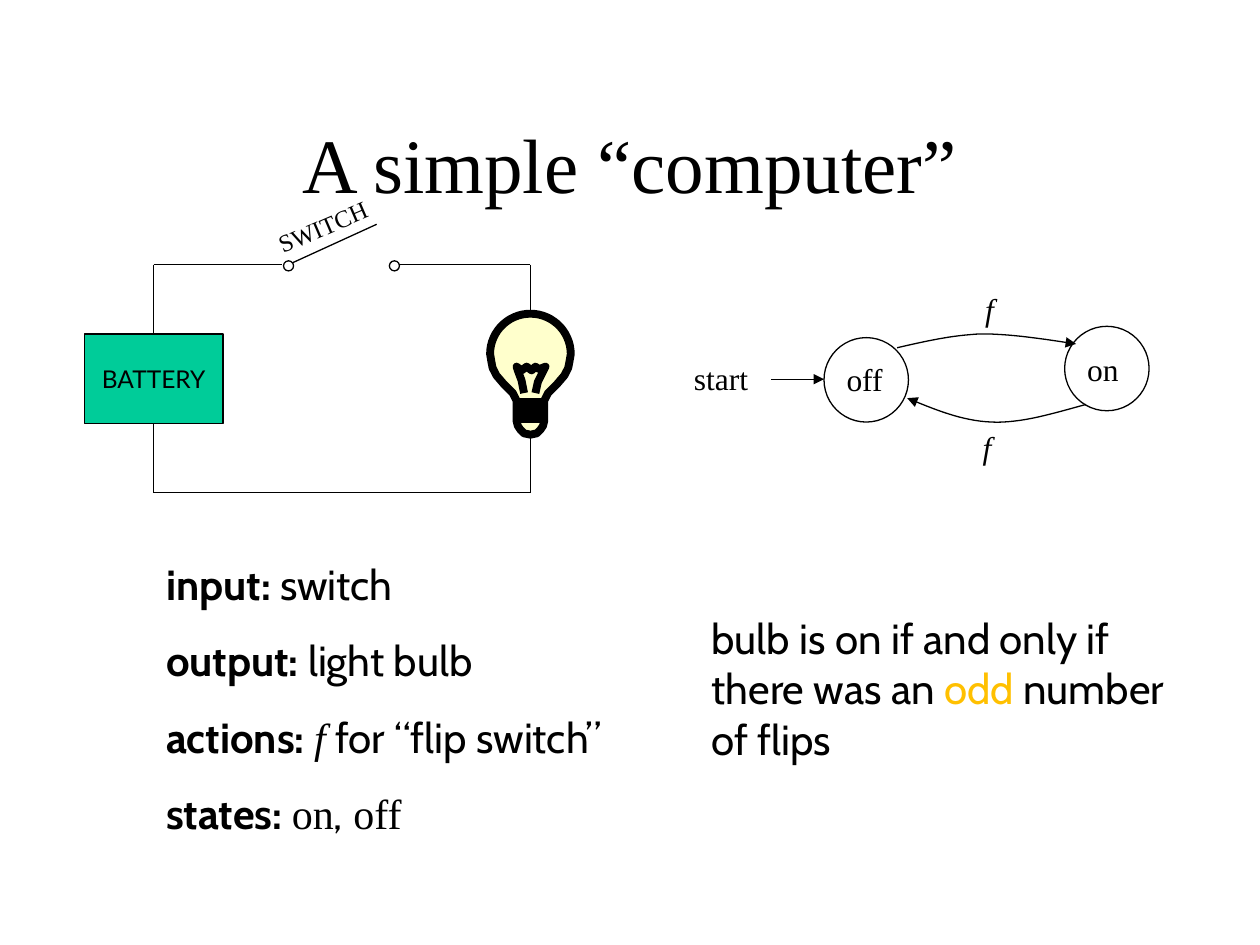
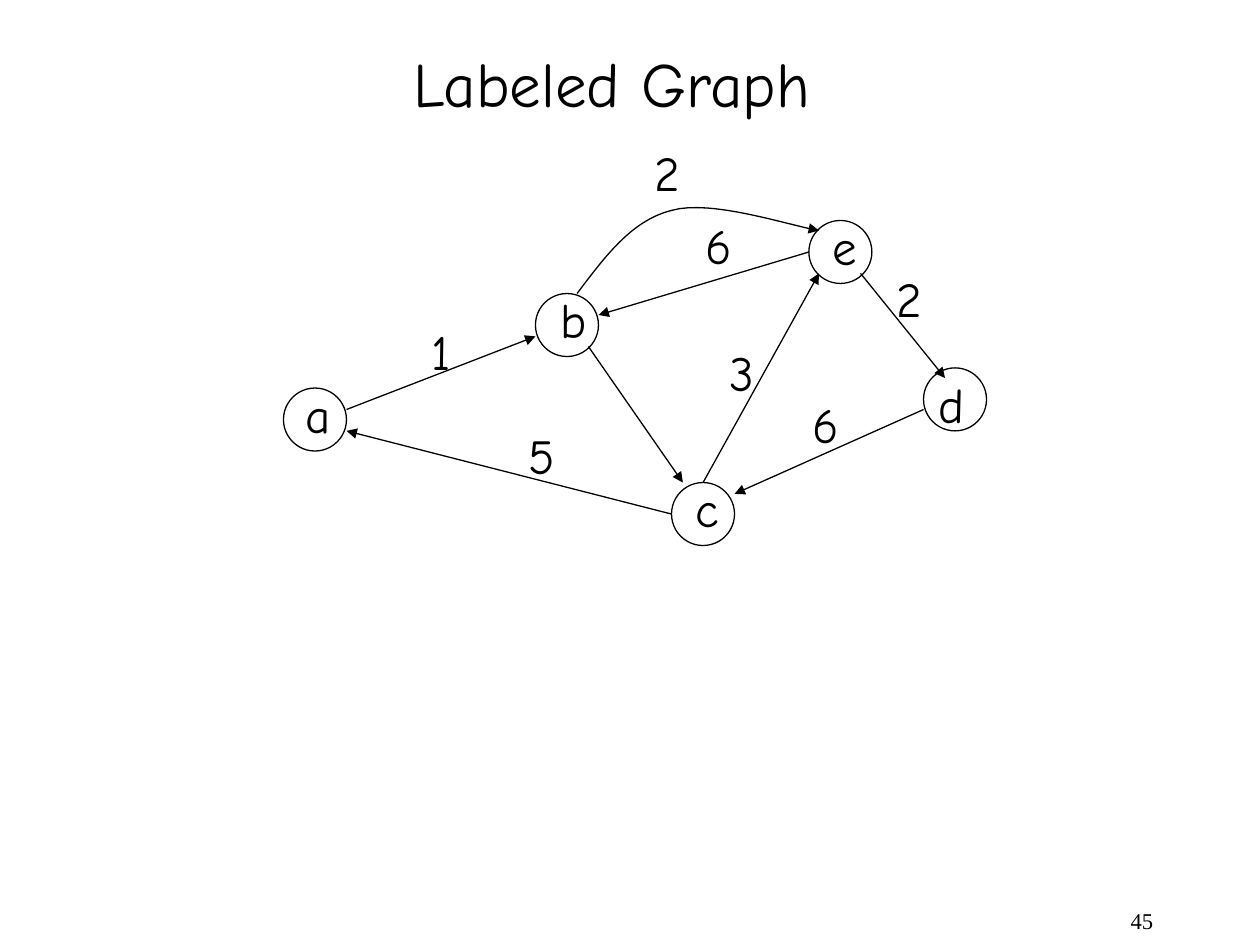
from math import cos, radians, sin

from lxml import etree
from pptx import Presentation
from pptx.dml.color import RGBColor
from pptx.enum.shapes import MSO_CONNECTOR, MSO_SHAPE
from pptx.enum.text import MSO_ANCHOR, MSO_AUTO_SIZE, PP_ALIGN
from pptx.oxml.ns import qn
from pptx.util import Inches, Pt

STRAIGHT = MSO_CONNECTOR.STRAIGHT
OVAL, RECTANGLE = MSO_SHAPE.OVAL, MSO_SHAPE.RECTANGLE
LEFT, CENTER, RIGHT = PP_ALIGN.LEFT, PP_ALIGN.CENTER, PP_ALIGN.RIGHT
TOP, MIDDLE = MSO_ANCHOR.TOP, MSO_ANCHOR.MIDDLE
NO_AUTOFIT = MSO_AUTO_SIZE.NONE

BLACK, WHITE, AMBER = "000000", "FFFFFF", "FFC000"
BATTERY_GREEN, BULB_YELLOW = "00CC99", "FFFFCC"
SERIF, SANS, COMIC, BATTERY_FONT = "Times New Roman", "Cabin", "Comic Neue", "Lato"
THIN, THICK = 0.75, 4.5
TITLE_ONLY = 5

WIRES = [
    ((1.22, 2.1), (2.24, 2.1)),
    ((1.22, 2.1), (1.22, 2.65)),
    ((1.22, 3.36), (1.22, 3.91)),
    ((1.22, 3.91), (4.21, 3.91)),
    ((3.11, 2.1), (4.21, 2.1)),
    ((4.21, 2.1), (4.21, 3.91)),
    ((2.29, 2.1), (2.99, 1.78)),
]
SWITCH_CONTACTS = [(2.25, 2.07), (3.09, 2.07)]
CONTACT_SIZE = 0.08
BATTERY = (0.67, 2.65, 1.1, 0.71)
SWITCH_LABEL = (2.09, 1.63, 0.94, 0.34)

BULB_AXIS, BULB_CENTER, BULB_RADIUS = 4.21, 2.81, 0.32
BULB_HALF_BASE = [
    (0, 3.45), (0.05, 3.44), (0.08, 3.41), (0.1, 3.38), (0.11, 3.34), (0.11, 3.18),
    (0.14, 3.12), (0.21, 3.05), (0.27, 2.98), (0.3, 2.92), (0.31, 2.87),
]
FILAMENT = [
    (4.16, 3.12), (4.14, 3.02), (4.11, 2.94), (4.1, 2.91), (4.14, 2.94), (4.18, 2.91),
    (4.22, 2.94), (4.25, 2.91), (4.28, 2.93), (4.33, 2.91), (4.27, 3.03), (4.25, 3.12),
]
BULB_THREADS = [(4.1, 3.19, 0.22, 0.05), (4.1, 3.29, 0.22, 0.04)]

STATE_SIZE = 0.67
STATES = [(6.54, 2.68), (8.45, 2.59)]
START_ARROW = ((6.12, 3.01), (6.54, 3.01))
FLIP_ARROWS = [
    [(7.12, 2.76), (7.34, 2.71), (7.55, 2.66), (7.79, 2.65),
     (8.02, 2.65), (8.28, 2.69), (8.54, 2.73)],
    [(8.62, 3.21), (8.36, 3.28), (8.11, 3.36), (7.87, 3.35),
     (7.63, 3.34), (7.42, 3.25), (7.2, 3.16)],
]
STATE_LABELS = [
    ("off", (6.62, 2.81, 0.52, 0.4), False),
    ("on", (8.53, 2.73, 0.5, 0.4), False),
    ("start", (5.41, 2.8, 0.74, 0.4), False),
    ("f", (7.72, 2.25, 0.28, 0.4), True),
    ("f", (7.7, 3.35, 0.28, 0.4), True),
]
DEFINITIONS = [
    [("input:", {"bold": True}), (" switch", {})],
    [("output:", {"bold": True}), (" light bulb", {})],
    [("actions: ", {"bold": True}), ("f", {"name": SERIF, "italic": True}),
     (" for “flip switch”", {})],
    [("states: ", {"bold": True}), ("on", {"name": SERIF}), (",", {}),
     (" off", {"name": SERIF})],
]
CONCLUSION = [[
    ("bulb is on if and only if there was an ", {}),
    ("odd", {"color": AMBER}),
    (" number of flips", {}),
]]

NODE_SIZE = 0.5
NODES = [(2.25, 3.08), (4.25, 2.33), (5.33, 3.83), (7.33, 2.92), (6.42, 1.75)]
EDGES = [
    ((2.75, 3.25), (4.25, 2.67)),
    ((4.67, 2.75), (5.42, 3.83)),
    ((5.58, 3.83), (6.5, 2.17)),
    ((7.33, 3.25), (5.83, 3.92)),
    ((5.33, 4.08), (2.75, 3.42)),
    ((6.83, 2.17), (7.5, 3)),
    ((6.42, 2), (4.75, 2.5)),
]
CURVED_EDGE = [(4.58, 2.33), (4.8, 2.04), (5.01, 1.75), (5.33, 1.67),
               (5.65, 1.58), (6.26, 1.79), (6.5, 1.83)]
GRAPH_LABELS = [
    ("a", 2.33, 3), ("b", 4.35, 2.25), ("c", 5.42, 3.75), ("d", 7.35, 2.92),
    ("e", 6.51, 1.67), ("1", 3.33, 2.5), ("3", 5.69, 2.67), ("5", 4.1, 3.33),
    ("6", 6.35, 3.08), ("2", 7.02, 2.08), ("6", 5.5, 1.66), ("2", 5.1, 1.08),
]
GRAPH_LABEL_SIZE = (0.4, 0.57)


def rgb(color):
    return RGBColor.from_string(color)


def to_inches(values):
    return [Inches(value) for value in values]


def set_font(font, name=None, size=None, color=None, bold=None, italic=None):
    if name:
        font.name = name
    if size:
        font.size = Pt(size)
    if color:
        font.color.rgb = rgb(color)
    if bold is not None:
        font.bold = bold
    if italic is not None:
        font.italic = italic


def style_shape(shape, fill=None, width=THIN):
    shape.shadow.inherit = False
    if fill:
        shape.fill.solid()
        shape.fill.fore_color.rgb = rgb(fill)
    else:
        shape.fill.background()
    style_line(shape, width)


def style_line(shape, width=THIN):
    shape.line.color.rgb = rgb(BLACK)
    shape.line.width = Pt(width)


def add_arrowhead(shape):
    outline = shape._element.spPr.find(qn("a:ln"))
    etree.SubElement(outline, qn("a:tailEnd"), type="triangle")


def add_line(slide, start, end, arrow=False):
    connector = slide.shapes.add_connector(STRAIGHT, *to_inches(start + end))
    style_line(connector)
    if arrow:
        add_arrowhead(connector)
    etree.SubElement(connector._element.spPr, qn("a:effectLst"))


def add_figure(slide, kind, box, fill=None, width=THIN):
    shape = slide.shapes.add_shape(kind, *to_inches(box))
    style_shape(shape, fill, width)
    return shape


def add_outline(slide, points, closed=False, fill=None, width=THIN):
    corners = [to_inches(point) for point in points]
    builder = slide.shapes.build_freeform(*corners[0])
    builder.add_line_segments(corners[1:], close=closed)
    shape = builder.convert_to_shape()
    style_shape(shape, fill, width)
    return shape


def sample_curve(controls, steps=16):
    points = [controls[0]]
    for first in range(0, len(controls) - 1, 3):
        segment = controls[first:first + 4]
        for step in range(1, steps + 1):
            t = step / steps
            weights = ((1 - t) ** 3, 3 * t * (1 - t) ** 2, 3 * t * t * (1 - t), t ** 3)
            points.append(tuple(
                sum(weight * point[axis] for weight, point in zip(weights, segment))
                for axis in (0, 1)))
    return points


def add_curved_arrow(slide, controls):
    add_arrowhead(add_outline(slide, sample_curve(controls)))


def write_text(shape, text, font, alignment=LEFT, anchor=TOP, wrap=False):
    frame = shape.text_frame
    frame.auto_size = NO_AUTOFIT
    frame.word_wrap = wrap
    frame.vertical_anchor = anchor
    paragraph = frame.paragraphs[0]
    paragraph.text = text
    paragraph.alignment = alignment
    set_font(paragraph.font, color=BLACK, **font)
    return paragraph


def add_label(slide, text, box, **font):
    label = slide.shapes.add_textbox(*to_inches(box))
    write_text(label, text, font)
    return label


def add_rich_text(slide, box, lines):
    frame = slide.shapes.add_textbox(*to_inches(box)).text_frame
    frame.word_wrap = True
    for index, line in enumerate(lines):
        paragraph = frame.add_paragraph() if index else frame.paragraphs[0]
        if index:
            paragraph.space_before = Pt(15)
        set_font(paragraph.font, SANS, 24, BLACK)
        for text, changes in line:
            run = paragraph.add_run()
            run.text = text
            set_font(run.font, **changes)


def add_titled_slide(presentation, title, box, font, alignment, anchor):
    slide = presentation.slides.add_slide(presentation.slide_layouts[TITLE_ONLY])
    slide.background.fill.solid()
    slide.background.fill.fore_color.rgb = rgb(WHITE)
    shape = slide.shapes.title
    shape.left, shape.top, shape.width, shape.height = to_inches(box)
    write_text(shape, title, font, alignment, anchor)
    return slide


def add_bulb(slide):
    dome = [(BULB_RADIUS * cos(radians(angle)), BULB_CENTER - BULB_RADIUS * sin(radians(angle)))
            for angle in range(0, 91, 6)]
    half = BULB_HALF_BASE + dome
    right = [(BULB_AXIS + offset, y) for offset, y in half]
    left = [(BULB_AXIS - offset, y) for offset, y in reversed(half[1:-1])]
    add_outline(slide, right + left, True, BULB_YELLOW, THICK)
    add_outline(slide, FILAMENT, width=THICK)
    for thread in BULB_THREADS:
        add_figure(slide, RECTANGLE, thread, BULB_YELLOW, THICK)


def build_computer_slide(presentation):
    slide = add_titled_slide(presentation, "A simple “computer”", (0.75, 0.67, 8.5, 1.25),
                             {"name": SERIF, "size": 44}, CENTER, MIDDLE)
    for start, end in WIRES:
        add_line(slide, start, end)
    for contact in SWITCH_CONTACTS:
        add_figure(slide, OVAL, contact + (CONTACT_SIZE, CONTACT_SIZE), WHITE)
    battery = add_figure(slide, RECTANGLE, BATTERY, BATTERY_GREEN)
    write_text(battery, "BATTERY", {"name": BATTERY_FONT, "size": 14}, CENTER, MIDDLE)
    add_bulb(slide)
    add_label(slide, "SWITCH", SWITCH_LABEL, name=SERIF, size=14).rotation = 336.7

    for state in STATES:
        add_figure(slide, OVAL, state + (STATE_SIZE, STATE_SIZE))
    for controls in FLIP_ARROWS:
        add_curved_arrow(slide, controls)
    add_line(slide, *START_ARROW, arrow=True)
    for text, box, italic in STATE_LABELS:
        add_label(slide, text, box, name=SERIF, size=18, italic=italic)

    add_rich_text(slide, (1.22, 4.38, 3.94, 2.73), DEFINITIONS)
    add_rich_text(slide, (5.55, 4.81, 3.94, 1.3), CONCLUSION)


def build_graph_slide(presentation):
    slide = add_titled_slide(presentation, "Labeled Graph", (3.18, 0.3, 3.36, 0.7),
                             {"name": COMIC, "size": 36}, LEFT, TOP)
    number = slide.shapes.add_textbox(*to_inches((7.17, 7.17, 2.08, 0.33)))
    paragraph = write_text(number, "45", {"name": SERIF, "size": 12.9}, RIGHT, wrap=True)
    paragraph.line_spacing = 0.9

    for node in NODES:
        add_figure(slide, OVAL, node + (NODE_SIZE, NODE_SIZE))
    for start, end in EDGES:
        add_line(slide, start, end, arrow=True)
    add_curved_arrow(slide, CURVED_EDGE)
    for text, left, top in GRAPH_LABELS:
        add_label(slide, text, (left, top) + GRAPH_LABEL_SIZE, name=COMIC, size=28)


def main():
    presentation = Presentation()
    presentation.slide_width, presentation.slide_height = to_inches((10, 7.5))
    build_computer_slide(presentation)
    build_graph_slide(presentation)
    presentation.save("out.pptx")


if __name__ == "__main__":
    main()
